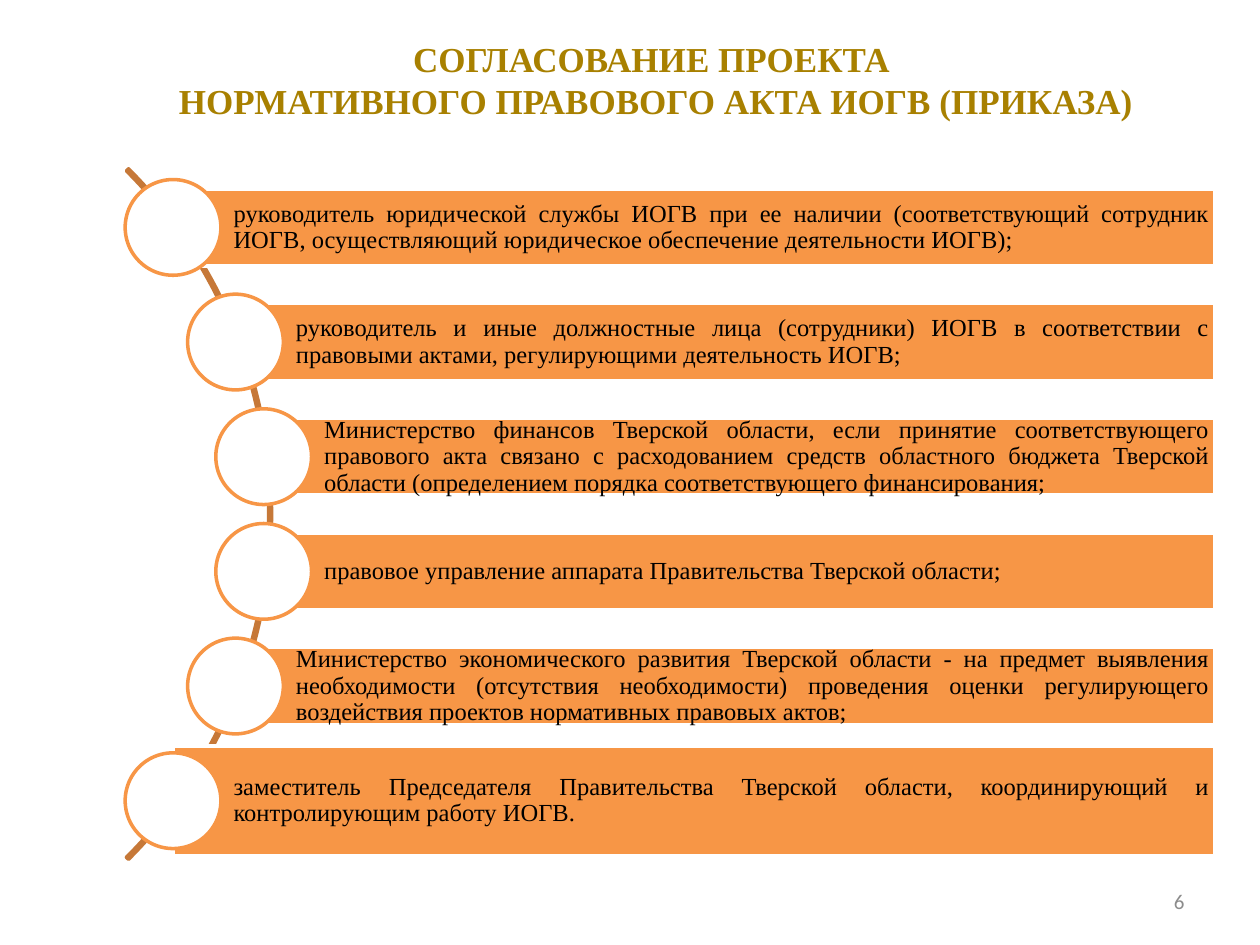
from math import sqrt

from pptx import Presentation
from pptx.dml.color import RGBColor
from pptx.enum.shapes import MSO_SHAPE
from pptx.enum.text import MSO_ANCHOR, PP_ALIGN
from pptx.util import Inches, Pt

BLOCK_ARC, RECTANGLE, OVAL = MSO_SHAPE.BLOCK_ARC, MSO_SHAPE.RECTANGLE, MSO_SHAPE.OVAL
CENTER, RIGHT, JUSTIFY = PP_ALIGN.CENTER, PP_ALIGN.RIGHT, PP_ALIGN.JUSTIFY
MIDDLE = MSO_ANCHOR.MIDDLE

WHITE = RGBColor(0xFF, 0xFF, 0xFF)
BLACK = RGBColor(0x00, 0x00, 0x00)
ORANGE = RGBColor(0xF7, 0x96, 0x46)
BROWN = RGBColor(0xC6, 0x78, 0x38)
GOLD = RGBColor(0xA8, 0x80, 0x00)
GRAY = RGBColor(0x8C, 0x8C, 0x8C)

# Geometry of the arc and the steps along it
ARC_X, ARC_Y, ARC_SIZE = -1.72, 4.08, 7.75
STEP_RADIUS = 3.84
STEP_PITCH = 0.91
BAR_RIGHT = 9.64
BAR_HEIGHT, LAST_BAR_HEIGHT = 0.61, 0.87
CIRCLE_SIZE = 0.76

STEPS = [
    "руководитель юридической службы ИОГВ при ее наличии (соответствующий "
    "сотрудник ИОГВ, осуществляющий юридическое обеспечение деятельности ИОГВ);",
    "руководитель и иные должностные лица (сотрудники) ИОГВ в соответствии с "
    "правовыми актами, регулирующими деятельность ИОГВ;",
    "Министерство финансов Тверской области, если принятие соответствующего "
    "правового акта связано с расходованием средств областного бюджета Тверской "
    "области (определением порядка соответствующего финансирования;",
    "правовое управление аппарата Правительства Тверской области;",
    "Министерство экономического развития Тверской области - на предмет "
    "выявления необходимости (отсутствия необходимости) проведения оценки "
    "регулирующего воздействия проектов нормативных правовых актов;",
    "заместитель Председателя Правительства Тверской области, координирующий и "
    "контролирующим работу ИОГВ.",
]


class SlideBuilder:
    font_name = "Times New Roman"
    line_width = Pt(2)

    def __init__(self, slide):
        self.slide = slide

    def set_text(self, frame, text, size, color, align, bold=False, font_name=None):
        frame.word_wrap = True
        frame.vertical_anchor = MIDDLE
        frame.text = text
        paragraph = frame.paragraphs[0]
        paragraph.alignment = align
        for run in paragraph.runs:
            run.font.name = font_name or self.font_name
            run.font.size = Pt(size)
            run.font.bold = bold
            run.font.color.rgb = color
        return paragraph

    def label(self, left, top, width, height, *text_style, **options):
        box = self.slide.shapes.add_textbox(
            Inches(left), Inches(top), Inches(width), Inches(height))
        self.set_text(box.text_frame, *text_style, **options)

    def shape(self, kind, left, top, width, height, fill, line):
        shape = self.slide.shapes.add_shape(
            kind, Inches(left), Inches(top), Inches(width), Inches(height))
        shape.shadow.inherit = False
        if fill is None:
            shape.fill.background()
        else:
            shape.fill.solid()
            shape.fill.fore_color.rgb = fill
        shape.line.color.rgb = line
        shape.line.width = self.line_width
        return shape

    def arc(self, center_x, center_y, size):
        arc = self.shape(BLOCK_ARC, center_x - size / 2, center_y - size / 2,
                         size, size, None, BROWN)
        for index, value in enumerate((189, 27, 0.003)):
            arc.adjustments[index] = value

    def step(self, center_x, center_y, bar_height, text):
        bar = self.shape(RECTANGLE, center_x, center_y - bar_height / 2,
                         BAR_RIGHT - center_x, bar_height, ORANGE, WHITE)
        frame = bar.text_frame
        frame.margin_left = Inches(0.48)
        frame.margin_top = frame.margin_right = frame.margin_bottom = Inches(0.04)
        self.set_text(frame, text, 14, BLACK, JUSTIFY).line_spacing = 0.9
        self.shape(OVAL, center_x - CIRCLE_SIZE / 2, center_y - CIRCLE_SIZE / 2,
                   CIRCLE_SIZE, CIRCLE_SIZE, WHITE, ORANGE)


presentation = Presentation()
presentation.slide_width = Inches(10)
presentation.slide_height = Inches(7.5)
builder = SlideBuilder(presentation.slides.add_slide(presentation.slide_layouts[6]))

# Title and slide number
builder.label(0.91, 0.14, 8.59, 0.98,
              "СОГЛАСОВАНИЕ ПРОЕКТА \vНОРМАТИВНОГО ПРАВОВОГО АКТА ИОГВ (ПРИКАЗА)",
              20, GOLD, CENTER, bold=True)
builder.label(7.17, 6.95, 2.33, 0.4, "6", 12, GRAY, RIGHT, font_name="Calibri")

# Approval steps, with their circles centred along the arc
builder.arc(ARC_X, ARC_Y, ARC_SIZE)
for number, step_text in enumerate(STEPS):
    offset = (number - (len(STEPS) - 1) / 2) * STEP_PITCH
    step_x = ARC_X + sqrt(STEP_RADIUS ** 2 - offset ** 2)
    is_last = number == len(STEPS) - 1
    builder.step(step_x, ARC_Y + offset,
                 LAST_BAR_HEIGHT if is_last else BAR_HEIGHT, step_text)

presentation.save("out.pptx")
